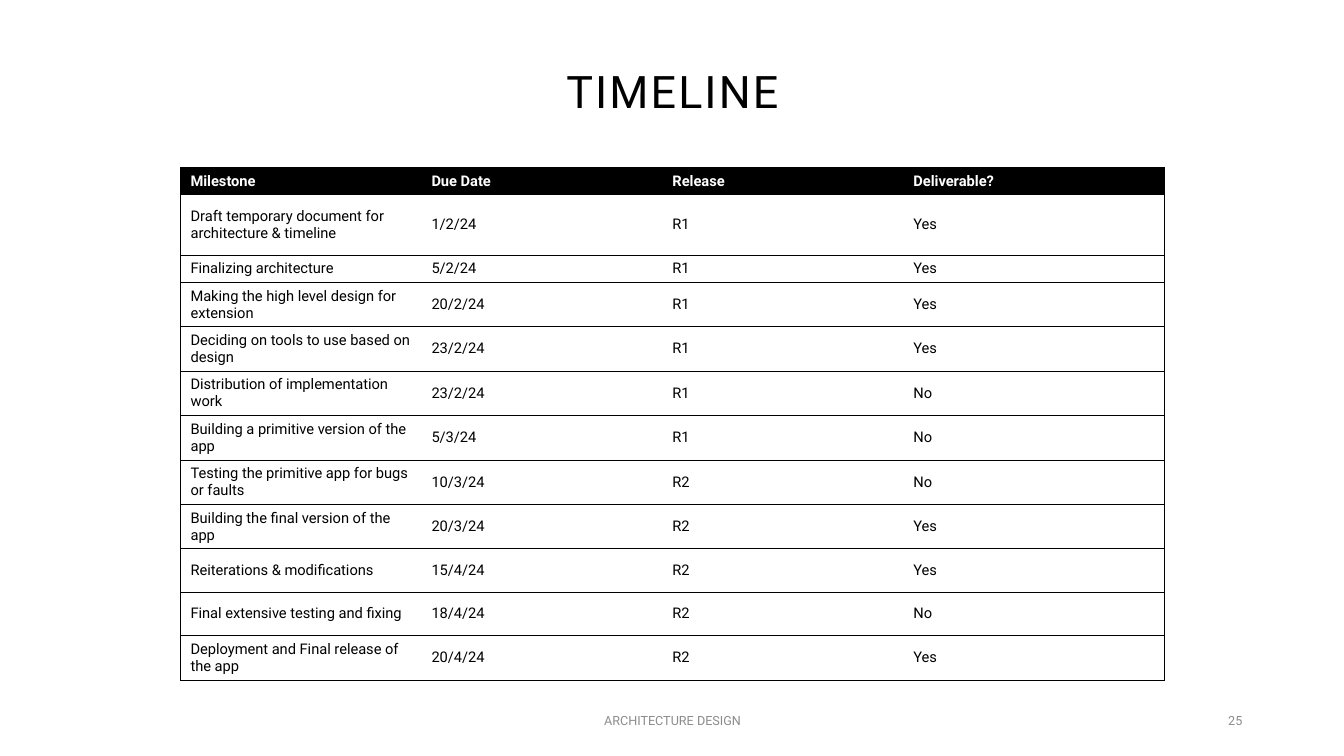
"""Build the project timeline slide with its milestone table."""
from dataclasses import dataclass

from lxml.etree import SubElement
from pptx import Presentation
from pptx.dml.color import RGBColor
from pptx.enum.text import MSO_ANCHOR, PP_ALIGN
from pptx.oxml.ns import qn
from pptx.util import Inches, Pt


@dataclass(frozen=True)
class Theme:
    """Colours, font and type sizes of the slide."""
    font: str = "Roboto"
    ink: str = "000000"
    paper: str = "FFFFFF"
    muted: str = "8C8C8C"
    title_size: float = 32
    table_size: float = 10.5
    footer_size: float = 9
    title_spacing: float = 1.5
    border_width: float = 0.5


HEADINGS = ("Milestone", "Due Date", "Release", "Deliverable?")
MILESTONES = (
    ("Draft temporary document for architecture & timeline", "1/2/24", "R1", "Yes"),
    ("Finalizing architecture", "5/2/24", "R1", "Yes"),
    ("Making the high level design for extension", "20/2/24", "R1", "Yes"),
    ("Deciding on tools to use based on design", "23/2/24", "R1", "Yes"),
    ("Distribution of implementation work", "23/2/24", "R1", "No"),
    ("Building a primitive version of the app", "5/3/24", "R1", "No"),
    ("Testing the primitive app for bugs or faults", "10/3/24", "R2", "No"),
    ("Building the final version of the app", "20/3/24", "R2", "Yes"),
    ("Reiterations & modifications", "15/4/24", "R2", "Yes"),
    ("Final extensive testing and fixing", "18/4/24", "R2", "No"),
    ("Deployment and Final release of the app", "20/4/24", "R2", "Yes"),
)
COLUMN_WIDTHS = (2.39, 2.39, 2.39, 2.59)
ROW_HEIGHTS = (0.25, 0.6, 0.27) + (0.43,) * 9


class SlideBuilder:
    """Draws themed elements on one slide."""

    def __init__(self, presentation, theme):
        """Add a slide with a title and a plain background."""
        self.theme = theme
        self.slide = presentation.slides.add_slide(presentation.slide_layouts[5])
        background = self.slide.background.fill
        background.solid()
        background.fore_color.rgb = RGBColor.from_string(theme.paper)

    def add_text(self, frame, text, size, color, bold=False, align=PP_ALIGN.LEFT):
        """Put one run into the first paragraph and return the run."""
        paragraph = frame.paragraphs[0]
        paragraph.alignment = align
        run = paragraph.add_run()
        run.text = text
        run.font.name = self.theme.font
        run.font.size = Pt(size)
        run.font.bold = bold
        run.font.color.rgb = RGBColor.from_string(color)
        return run

    def title(self, text, left, top, width, height):
        """Place and fill the title placeholder."""
        shape = self.slide.shapes.title
        shape.left, shape.top = Inches(left), Inches(top)
        shape.width, shape.height = Inches(width), Inches(height)
        frame = shape.text_frame
        frame.word_wrap = True
        frame.vertical_anchor = MSO_ANCHOR.MIDDLE
        run = self.add_text(frame, text, self.theme.title_size, self.theme.ink,
                            align=PP_ALIGN.CENTER)
        run._r.get_or_add_rPr().set("spc", str(int(self.theme.title_spacing * 100)))
        frame.paragraphs[0].line_spacing = 0.9

    def footer(self, text, left, width, align):
        """Add a muted text box on the footer line."""
        shape = self.slide.shapes.add_textbox(
            Inches(left), Inches(6.95), Inches(width), Inches(0.4))
        frame = shape.text_frame
        frame.word_wrap = True
        frame.vertical_anchor = MSO_ANCHOR.MIDDLE
        self.add_text(frame, text, self.theme.footer_size, self.theme.muted, align=align)

    def borders(self, cell, visible):
        """Draw the visible sides of a cell and clear the others."""
        properties = cell._tc.get_or_add_tcPr()
        for side in "LRTB":
            line = SubElement(properties, qn(f"a:ln{side}"))
            if side in visible:
                line.set("w", str(Pt(self.theme.border_width)))
                fill = SubElement(line, qn("a:solidFill"))
                SubElement(fill, qn("a:srgbClr")).set("val", self.theme.ink)
            else:
                line.set("w", "0")
                SubElement(line, qn("a:noFill"))

    def table(self, rows, left, top, widths, heights):
        """Add a table with a dark heading row and ruled body rows."""
        table = self.slide.shapes.add_table(
            len(rows), len(widths), Inches(left), Inches(top),
            Inches(sum(widths)), Inches(sum(heights))).table
        table.horz_banding = False
        for column, width in zip(table.columns, widths):
            column.width = Inches(width)
        for row, height in zip(table.rows, heights):
            row.height = Inches(height)
        last = len(widths) - 1
        for row_index, values in enumerate(rows):
            heading = row_index == 0
            for column_index, value in enumerate(values):
                cell = table.cell(row_index, column_index)
                cell.vertical_anchor = MSO_ANCHOR.MIDDLE
                outer = {0: "L", last: "R"}.get(column_index, "")
                self.borders(cell, "TB" + outer)
                if heading:
                    cell.fill.solid()
                    cell.fill.fore_color.rgb = RGBColor.from_string(self.theme.ink)
                else:
                    cell.fill.background()
                color = self.theme.paper if heading else self.theme.ink
                self.add_text(cell.text_frame, value, self.theme.table_size, color, heading)


def main():
    """Build and save the presentation."""
    presentation = Presentation()
    presentation.slide_width = Inches(13.33)
    presentation.slide_height = Inches(7.5)
    builder = SlideBuilder(presentation, Theme())
    builder.title("TIMELINE", 0.92, 0.21, 11.5, 1.45)
    builder.table((HEADINGS,) + MILESTONES, 1.79, 1.66, COLUMN_WIDTHS, ROW_HEIGHTS)
    builder.footer("ARCHITECTURE DESIGN", 4.42, 4.5, PP_ALIGN.CENTER)
    builder.footer("25", 9.42, 3, PP_ALIGN.RIGHT)
    presentation.save("out.pptx")


if __name__ == "__main__":
    main()
